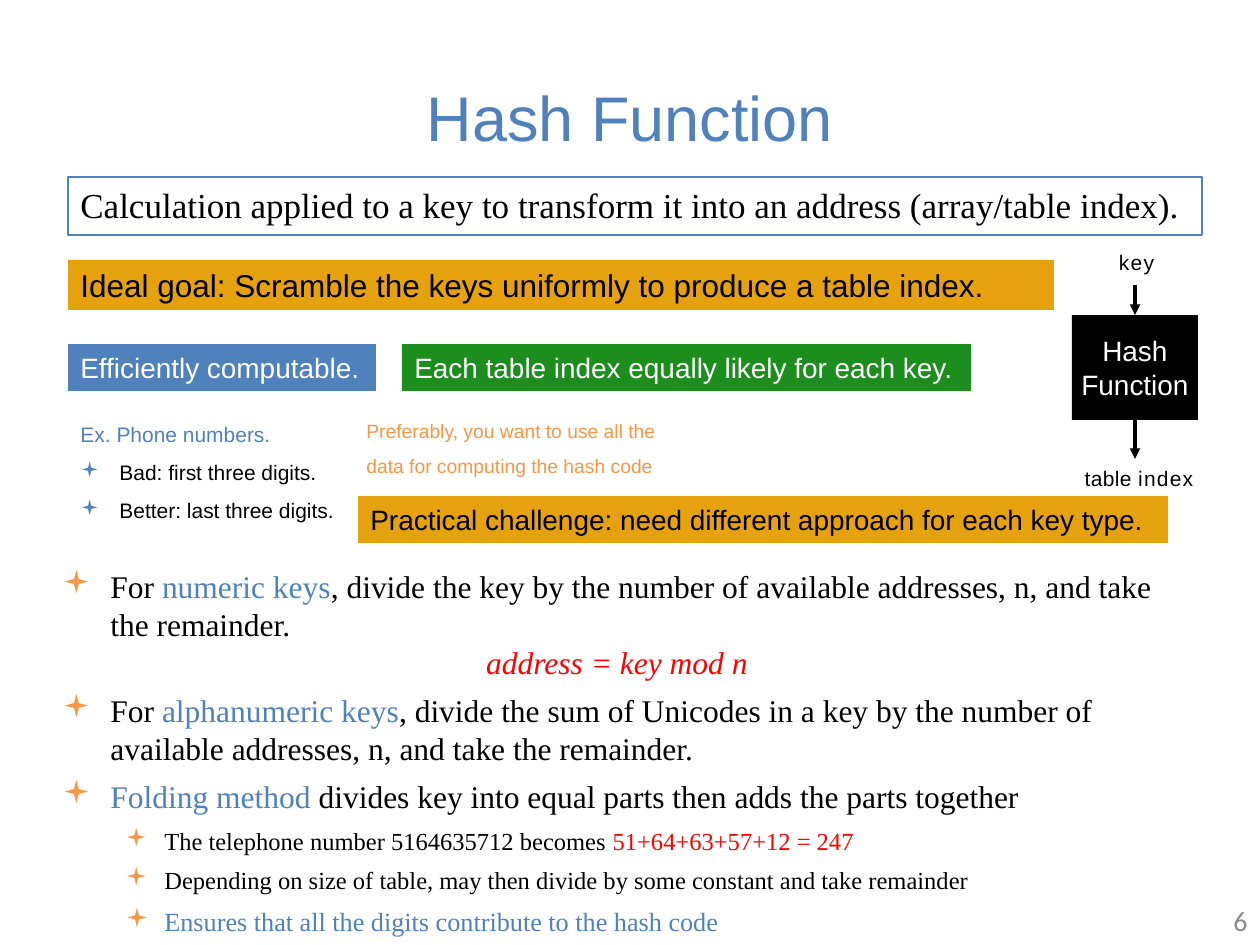
from lxml.etree import SubElement
from pptx import Presentation
from pptx.dml.color import RGBColor
from pptx.enum.shapes import MSO_CONNECTOR, MSO_SHAPE
from pptx.enum.text import MSO_ANCHOR, MSO_AUTO_SIZE, PP_ALIGN
from pptx.oxml.ns import qn
from pptx.util import Emu, Pt

PX = 914400 / 126
BLUE, ORANGE, GOLD, GREEN = "4F81BD", "F79646", "E6A20E", "1B8E1D"
BLACK, WHITE, RED, GRAY = "000000", "FFFFFF", "FF0000", "8C8C8C"
SANS, SERIF = "Arial", "Times New Roman"
CENTER, RIGHT, MIDDLE = PP_ALIGN.CENTER, PP_ALIGN.RIGHT, MSO_ANCHOR.MIDDLE

# Banners: text, box, size, font, text colour, fill, outline
BANNERS = [
    ("Calculation applied to a key to transform it into an address (array/table index).",
     (68, 177, 1134, 58), 20, SERIF, BLACK, None, BLUE),
    ("Ideal goal: Scramble the keys uniformly to produce a table index.",
     (68, 260, 986, 50), 18, SANS, BLACK, GOLD, None),
    ("Efficiently computable.", (68, 344, 308, 47), 16, SANS, WHITE, BLUE, None),
    ("Each table index equally likely for each key.",
     (402, 344, 569, 47), 16, SANS, WHITE, GREEN, None),
    ("Practical challenge: need different approach for each key type.",
     (358, 496, 810, 47), 16, SANS, BLACK, GOLD, None),
]

# Paragraphs: runs as (text, colour, extra font values), then paragraph format
GAPS = {"space_before": Pt(3), "space_after": Pt(3)}
KEY = {"bullet": ORANGE, "left": 48, "hang": 48}
DETAIL = {"bullet": ORANGE, "left": 102, "hang": 39, "level": 1, **GAPS}
SMALL = {"size": Pt(14)}
METHODS = [
    ([("For ", BLACK), ("numeric keys", BLUE),
      (", divide the key by the number of available addresses, n, and take the remainder.",
       BLACK)], KEY),
    ([("address = key mod n", RED, {"italic": True})],
     {"alignment": CENTER, "space_after": Pt(3)}),
    ([("For ", BLACK), ("alphanumeric keys", BLUE),
      (", divide the sum of Unicodes in a key by the number of available addresses, n, "
       "and take the remainder.", BLACK)], {**KEY, **GAPS}),
    ([("Folding method ", BLUE),
      ("divides key into equal parts then adds the parts together", BLACK)], {**KEY, **GAPS}),
    ([("The telephone number 5164635712 becomes ", BLACK, SMALL),
      ("51+64+63+57+12 = 247", RED, SMALL)], DETAIL),
    ([("Depending on size of table, may then divide by some constant and take remainder",
       BLACK, SMALL)], DETAIL),
    ([("Ensures that all the digits contribute to the hash code", BLUE, {"size": Pt(15)})],
     DETAIL),
]
EXAMPLE = {"bullet": BLUE, "left": 39, "hang": 39, "line_spacing": 1.5}
PHONE = [
    ([("Ex. Phone numbers.", BLUE)], {"line_spacing": 1.5}),
    ([("Bad: first three digits.", BLACK)], EXAMPLE),
    ([("Better: last three digits.", BLACK)], EXAMPLE),
]
ADVICE = [([("Preferably, you want to use all the data for computing the hash code", ORANGE)],
           {"line_spacing": 1.5})]
HASH_BOX = [([(word, WHITE)], {"alignment": CENTER}) for word in ("Hash", "Function")]
INPUT = [([("key", BLACK, {"spc": 70})], {"left": 1})]
OUTPUT = [([("table ", BLACK, {"spc": 20}), ("index", BLACK, {"spc": 70})],
           {"alignment": CENTER, "left": 1, "hang": -4, "line_spacing": 1.2})]


def px(value):
    return Emu(round(value * PX))


def rgb(value):
    return RGBColor.from_string(value)


def write(shape, paragraphs, size, font=SANS, anchor=MSO_ANCHOR.TOP, wrap=True, inset=True):
    frame = shape.text_frame
    values = {"word_wrap": wrap, "vertical_anchor": anchor, "auto_size": MSO_AUTO_SIZE.NONE}
    if not inset:
        values.update(dict.fromkeys(
            ("margin_left", "margin_right", "margin_top", "margin_bottom"), 0))
    for name, value in values.items():
        setattr(frame, name, value)
    for i, (runs, style) in enumerate(paragraphs):
        para = frame.paragraphs[0] if i == 0 else frame.add_paragraph()
        props = para._p.get_or_add_pPr()
        style = {"alignment": PP_ALIGN.LEFT, **style}
        props.set("marL", str(px(style.pop("left", 0))))
        props.set("indent", str(px(-style.pop("hang", 0))))
        bullet = style.pop("bullet", None)
        if bullet:
            SubElement(SubElement(props, qn("a:buClr")), qn("a:srgbClr"), val=bullet)
            SubElement(props, qn("a:buFont"), typeface="Wingdings")
            SubElement(props, qn("a:buChar"), char="▪")
        for name, value in style.items():
            setattr(para, name, value)
        for text, color, *extra in runs:
            run = para.add_run()
            run.text = text
            run.font.color.rgb = rgb(color)
            look = {"size": Pt(size), "name": font, **(extra[0] if extra else {})}
            spacing = look.pop("spc", None)
            if spacing:
                run._r.get_or_add_rPr().set("spc", str(spacing))
            for name, value in look.items():
                setattr(run.font, name, value)


def add_text(slide, box, paragraphs, size, **options):
    write(slide.shapes.add_textbox(*map(px, box)), paragraphs, size, **options)


def add_box(slide, box, fill, outline=None):
    shape = slide.shapes.add_shape(MSO_SHAPE.RECTANGLE, *map(px, box))
    shape.shadow.inherit = False
    if fill:
        shape.fill.solid()
        shape.fill.fore_color.rgb = rgb(fill)
    else:
        shape.fill.background()
    if outline:
        shape.line.color.rgb = rgb(outline)
        shape.line.width = Pt(0.75)
    else:
        shape.line.fill.background()
    return shape


def add_arrow(slide, x, top, bottom):
    arrow = slide.shapes.add_connector(MSO_CONNECTOR.STRAIGHT, *map(px, (x, top, x, bottom)))
    arrow.line.color.rgb = rgb(BLACK)
    arrow.line.width = Pt(2)
    SubElement(arrow.line._get_or_add_ln(), qn("a:tailEnd"), type="triangle")
    SubElement(arrow._element.spPr, qn("a:effectLst"))
    return arrow


def main():
    deck = Presentation()
    deck.slide_width, deck.slide_height = px(1260), px(945)
    slide = deck.slides.add_slide(deck.slide_layouts[6])

    # Title and banners
    add_text(slide, (63, 37, 1134, 158), [([("Hash Function", BLUE)], {"alignment": CENTER})],
             36, anchor=MIDDLE)
    for text, box, size, font, color, fill, outline in BANNERS:
        write(add_box(slide, box, fill, outline), [([(text, color)], {})], size, font=font)

    # Key -> hash function -> table index
    left, top, width, height = 1072, 315, 126, 105
    middle, bottom = left + width // 2, top + height
    hash_box = add_box(slide, (left, top, width, height), BLACK)
    write(hash_box, HASH_BOX, 16, anchor=MIDDLE, inset=False)
    add_arrow(slide, middle, 285, top).end_connect(hash_box, 0)
    add_arrow(slide, middle, bottom, 459).begin_connect(hash_box, 2)
    add_text(slide, (1118, 248, 39, 28), INPUT, 12, anchor=MIDDLE, wrap=False, inset=False)
    add_text(slide, (1071, 461, 131, 29), OUTPUT, 12, anchor=MIDDLE, inset=False)

    # Example, advice, methods and slide number
    add_text(slide, (68, 403, 282, 122), PHONE, 12, wrap=False)
    add_text(slide, (354, 402, 343, 78), ADVICE, 11)
    add_text(slide, (50, 561, 1134, 373), METHODS, 18, font=SERIF)
    add_text(slide, (1181, 895, 79, 50), [([("6", GRAY)], {"alignment": RIGHT})],
             16, font="Calibri", anchor=MIDDLE)

    deck.save("out.pptx")


if __name__ == "__main__":
    main()
